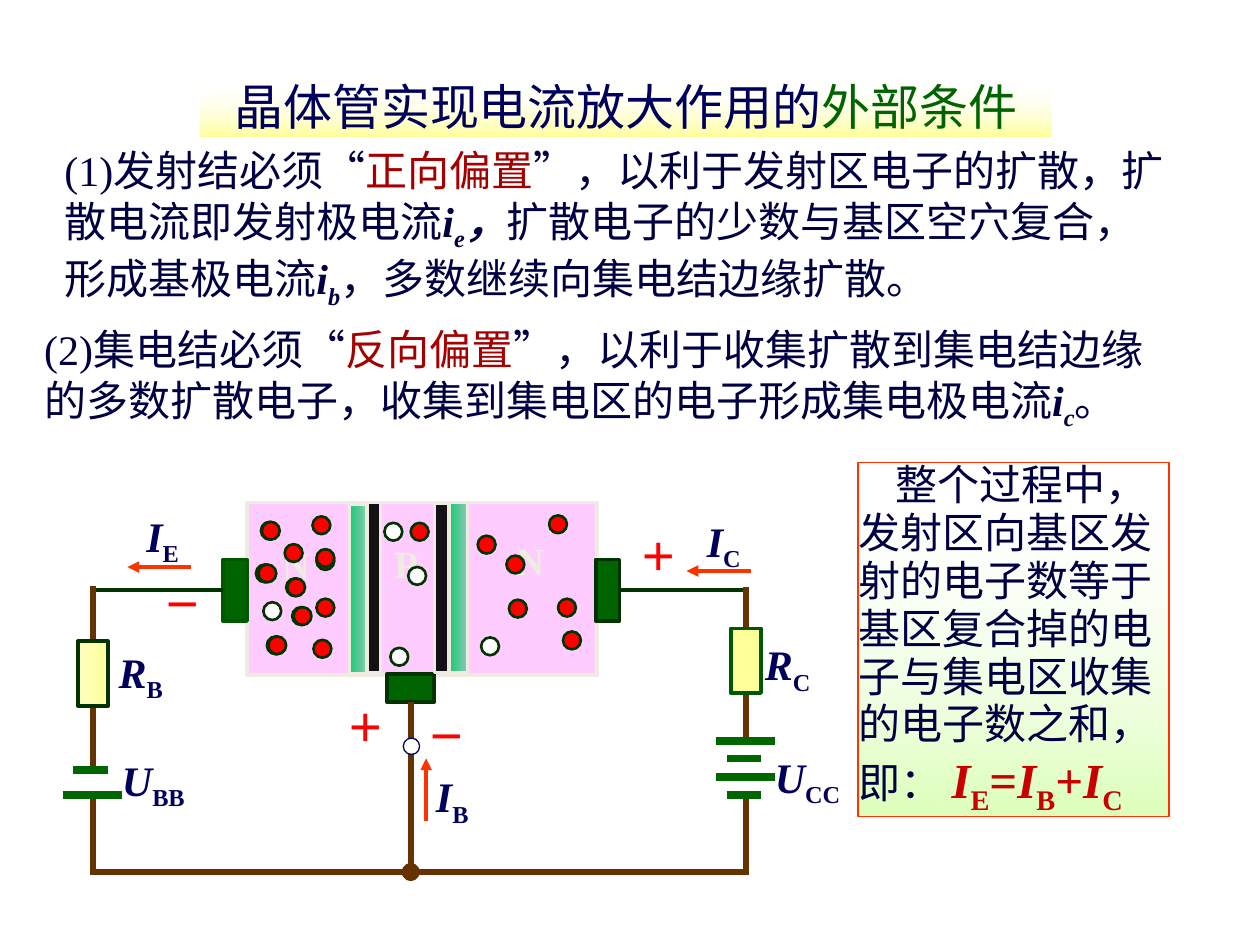
"""Build a slide on the external conditions for transistor current amplification."""
from dataclasses import dataclass
from typing import NamedTuple, Optional

from pptx import Presentation
from pptx.dml.color import RGBColor
from pptx.enum.shapes import MSO_CONNECTOR, MSO_SHAPE
from pptx.enum.text import MSO_ANCHOR, PP_ALIGN
from pptx.oxml.ns import qn
from pptx.util import Cm, Pt
from lxml.etree import SubElement


@dataclass(frozen=True)
class Theme:
    font: str = "Times New Roman"
    title_size: float = 28
    body_size: float = 24
    sign_size: float = 22
    navy: str = "00005C"
    body: str = "000042"
    emphasis: str = "A40000"
    formula: str = "C80000"
    condition: str = "006400"
    sign: str = "FF0000"
    arrow: str = "FF3300"
    white: str = "FFFFFF"
    yellow: str = "FFFF99"
    pale_yellow: str = "FFFFC1"
    pale_green: str = "CCFF99"
    pink: str = "FFCCFF"
    cream: str = "EEECE1"
    junction: str = "000000"
    depletion: str = "00CC66"
    depletion_end: str = "00C261"
    contact_edge: str = "005800"
    dark_green: str = "003300"
    plate: str = "006600"
    wire: str = "663300"


THEME = Theme()


class Box(NamedTuple):
    left: float
    top: float
    width: float
    height: float


class Paint(NamedTuple):
    color: str
    alpha: int = 100


class Line(NamedTuple):
    x1: float
    y1: float
    x2: float
    y2: float


class Symbol(NamedTuple):
    letter: str
    index: str
    left: float
    top: float
    width: float


class Mark(NamedTuple):
    text: str
    left: float
    top: float


def set_alpha(color_element, alpha: int) -> None:
    if alpha < 100:
        SubElement(color_element, qn("a:alpha")).set("val", str(alpha * 1000))


def add_block(shapes, box: Box, *paints: Paint, angle: float = 0, edge: Optional[str] = None,
              weight: float = 2.25, kind=MSO_SHAPE.RECTANGLE):
    block = shapes.add_shape(kind, *map(Cm, box))
    block.shadow.inherit = False
    if len(paints) == 1:
        block.fill.solid()
        block.fill.fore_color.rgb = RGBColor.from_string(paints[0].color)
    else:
        block.fill.gradient()
        block.fill.gradient_angle = angle
        for stop, paint in zip(block.fill.gradient_stops, paints):
            stop.color.rgb = RGBColor.from_string(paint.color)
    for element, paint in zip(list(block.element.spPr.iter(qn("a:srgbClr"))), paints):
        set_alpha(element, paint.alpha)
    if edge:
        block.line.color.rgb = RGBColor.from_string(edge)
        block.line.width = Pt(weight)
    else:
        block.line.fill.background()
    return block


def add_line(shapes, line: Line, color: str, weight: float, head: str = "", tail: str = ""):
    connector = shapes.add_connector(MSO_CONNECTOR.STRAIGHT, *map(Cm, line))
    connector.line.color.rgb = RGBColor.from_string(color)
    connector.line.width = Pt(weight)
    for tag, style in (("a:headEnd", head), ("a:tailEnd", tail)):
        if style:
            SubElement(connector.line._get_or_add_ln(), qn(tag)).set("type", style)
    SubElement(connector._element.spPr, qn("a:effectLst"))
    return connector


def open_paragraph(holder, spacing: float = 1, align=PP_ALIGN.LEFT, bottom: float = 0, wrap: bool = True):
    frame = holder.text_frame
    frame.margin_left = frame.margin_right = frame.margin_top = 0
    frame.margin_bottom = Cm(bottom)
    frame.vertical_anchor = MSO_ANCHOR.TOP
    frame.word_wrap = wrap
    paragraph = frame.paragraphs[0]
    paragraph.alignment = align
    paragraph.line_spacing = spacing
    return paragraph


def write(paragraph, text: str, *, size: float = THEME.body_size, color: str = THEME.body,
          bold: bool = False, italic: bool = False, subscript: bool = False) -> None:
    run = paragraph.add_run()
    run.text = text
    run.font.name = THEME.font
    run.font.size = Pt(size)
    run.font.bold = bold
    run.font.italic = italic
    run.font.color.rgb = RGBColor.from_string(color)
    if subscript:
        run._r.get_or_add_rPr().set("baseline", "-25000")


def write_symbol(paragraph, letter: str, index: str, *, slanted_index: bool = False,
                 size: float = THEME.body_size, color: str = THEME.body) -> None:
    write(paragraph, letter, size=size, color=color, bold=True, italic=True)
    write(paragraph, index, size=size, color=color, bold=True, italic=slanted_index, subscript=True)


def add_marks(shapes, marks: list[Mark], width: float, color: str, spacing: float) -> None:
    for mark in marks:
        holder = shapes.add_textbox(*map(Cm, (mark.left, mark.top, width, 0.89)))
        write(open_paragraph(holder, spacing, wrap=False), mark.text,
              size=THEME.sign_size, color=color, bold=True)


def add_carriers(shapes, places: list[tuple[float, float]], color: str) -> None:
    for left, top in places:
        add_block(shapes, Box(left, top, 0.36, 0.36), Paint(color), edge=THEME.dark_green,
                  weight=1.5, kind=MSO_SHAPE.OVAL)


def draw_transistor(shapes) -> None:
    add_block(shapes, Box(4.98, 10.13, 7.06, 3.48), Paint(THEME.pink), edge=THEME.cream)
    emitter = add_block(shapes, Box(4.5, 11.28, 0.48, 1.24), Paint(THEME.condition), edge=THEME.contact_edge)
    base = add_block(shapes, Box(7.8, 13.59, 0.96, 0.56), Paint(THEME.condition), edge=THEME.dark_green)
    collector = add_block(shapes, Box(12.01, 11.28, 0.48, 1.24), Paint(THEME.condition), edge=THEME.dark_green)
    add_marks(shapes, [Mark("N", 5.69, 11.05), Mark("P", 7.95, 11.02), Mark("N", 10.41, 10.97)],
              0.6, THEME.cream, 0.85)
    for box in (Box(7.34, 10.13, 0.33, 3.43), Box(8.76, 10.16, 0.28, 3.4)):
        add_block(shapes, box, Paint(THEME.junction, 92), edge=THEME.cream, weight=1.75)
    for box in (Box(9.07, 10.13, 0.36, 3.43), Box(7.04, 10.18, 0.36, 3.4)):
        add_block(shapes, box, Paint(THEME.depletion, 92), Paint(THEME.depletion_end, 41),
                  edge=THEME.cream, weight=1.75)
    add_line(shapes, Line(1.9, 11.9, 4.5, 11.9), THEME.dark_green, 2.25).end_connect(emitter, 1)
    add_line(shapes, Line(12.49, 11.9, 15.09, 11.9), THEME.dark_green, 2.25).begin_connect(collector, 3)
    add_line(shapes, Line(8.28, 17.6, 8.28, 14.15), THEME.wire, 3.5).end_connect(base, 2)
    electrons = [
        (6.3, 10.41), (5.77, 11.66), (5.16, 11.38), (5.26, 10.52), (5.38, 12.83), (5.74, 10.97),
        (6.38, 12.07), (6.38, 11.13), (5.89, 12.24), (5.79, 11.66), (6.32, 12.9), (5.21, 11.38),
        (5.28, 10.52), (5.41, 12.83), (6.38, 11.07), (5.92, 12.24), (8.28, 10.54), (11.25, 12.07),
        (10.21, 11.2), (10.26, 12.09), (11.07, 10.39), (11.35, 12.73), (9.63, 10.8)]
    holes = [(5.31, 12.14), (7.75, 10.54), (7.87, 13.06), (8.23, 11.43), (9.7, 12.85)]
    add_carriers(shapes, electrons, THEME.sign)
    add_carriers(shapes, holes, THEME.white)


def draw_circuit(shapes) -> None:
    for line in (Line(1.88, 17.58, 8.28, 17.58), Line(1.88, 15.52, 1.88, 11.81),
                 Line(1.88, 17.63, 1.88, 16.03), Line(15.04, 14.94, 15.04, 11.84),
                 Line(15.04, 17.63, 15.04, 16.03)):
        add_line(shapes, line, THEME.wire, 3.5)
    add_line(shapes, Line(8.28, 17.58, 15.04, 17.58), THEME.wire, 3.5, head="oval")
    for left, right, y in ((1.27, 2.46, 16.03), (1.47, 2.18, 15.52), (14.43, 15.62, 14.94),
                           (14.66, 15.34, 15.29), (14.43, 15.62, 15.67), (14.66, 15.34, 16.03)):
        add_line(shapes, Line(left, y, right, y), THEME.plate, 4.5)
    add_block(shapes, Box(1.57, 12.93, 0.61, 1.3), Paint(THEME.pale_yellow), Paint(THEME.yellow),
              edge=THEME.dark_green)
    add_block(shapes, Box(14.73, 12.67, 0.61, 1.3), Paint(THEME.yellow), edge=THEME.contact_edge)
    add_block(shapes, Box(8.13, 14.88, 0.33, 0.33), Paint(THEME.white), edge=THEME.navy,
              weight=0.75, kind=MSO_SHAPE.OVAL)
    for line in (Line(3.86, 11.43, 2.57, 11.43), Line(15.14, 11.51, 13.84, 11.51),
                 Line(8.59, 16.56, 8.59, 15.29)):
        add_line(shapes, line, THEME.arrow, 2.25, tail="triangle")
    for symbol in (Symbol("U", "BB", 2.46, 15.21, 1.5), Symbol("R", "B", 2.39, 13.03, 1.19),
                   Symbol("U", "CC", 15.62, 15.14, 1.5), Symbol("R", "C", 15.42, 12.88, 1.19),
                   Symbol("I", "E", 2.95, 10.29, 0.84), Symbol("I", "C", 14.25, 10.39, 0.84),
                   Symbol("I", "B", 8.79, 15.54, 0.84)):
        holder = shapes.add_textbox(*map(Cm, (symbol.left, symbol.top, symbol.width, 0.97)))
        write_symbol(open_paragraph(holder, 0.95), symbol.letter, symbol.index, color=THEME.navy)
    add_marks(shapes, [Mark("＋", 6.98, 14.27), Mark("－", 3.3, 11.79), Mark("＋", 12.9, 10.82),
                       Mark("－", 8.61, 14.45)], 0.99, THEME.sign, 0.95)


def draw_text(shapes) -> None:
    banner = add_block(shapes, Box(4.04, 1.63, 17.15, 1.12), Paint(THEME.white, 0), Paint(THEME.yellow), angle=270)
    title = open_paragraph(banner, 0.95, PP_ALIGN.CENTER)
    write(title, "晶体管实现电流放大作用的", size=THEME.title_size, color=THEME.navy)
    write(title, "外部条件", size=THEME.title_size, color=THEME.condition)

    forward = open_paragraph(shapes.add_textbox(Cm(1.3), Cm(2.92), Cm(22.17), Cm(3.07)))
    write(forward, "(1)发射结必须“")
    write(forward, "正向偏置", color=THEME.emphasis)
    write(forward, "”，以利于发射区电子的扩散，扩散电流即发射极电流")
    write_symbol(forward, "i", "e", slanted_index=True)
    write(forward, "，", bold=True, italic=True)
    write(forward, "扩散电子的少数与基区空穴复合，形成基极电流")
    write_symbol(forward, "i", "b", slanted_index=True)
    write(forward, "，多数继续向集电结边缘扩散。")

    reverse = open_paragraph(shapes.add_textbox(Cm(0.89), Cm(6.53), Cm(22.33), Cm(2.06)))
    write(reverse, "(2)集电结必须“")
    write(reverse, "反向偏置", color=THEME.emphasis)
    write(reverse, "”，以利于收集扩散到集电结边缘的多数扩散电子，收集到集电区的电子形成集电极电流")
    write_symbol(reverse, "i", "c", slanted_index=True)
    write(reverse, "。")

    panel = add_block(shapes, Box(17.3, 9.32, 6.27, 7.14), Paint(THEME.white, 0), Paint(THEME.pale_green, 68),
                      angle=270, edge=THEME.arrow, weight=0.75)
    summary = open_paragraph(panel, 0.95, bottom=0.2)
    summary._p.get_or_add_pPr().set("indent", str(Cm(0.75)))
    write(summary, "整个过程中，发射区向基区发射的电子数等于基区复合掉的电子与集电区收集的电子数之和，即： ")
    for operator, index in (("", "E"), ("=", "B"), ("+", "C")):
        if operator:
            write(summary, operator, size=THEME.title_size, color=THEME.formula, bold=True)
        write_symbol(summary, "I", index, size=THEME.title_size, color=THEME.formula)


def main() -> None:
    deck = Presentation()
    deck.slide_width, deck.slide_height = Cm(25.4), Cm(19.05)
    shapes = deck.slides.add_slide(deck.slide_layouts[6]).shapes
    draw_transistor(shapes)
    draw_circuit(shapes)
    draw_text(shapes)
    deck.save("out.pptx")


if __name__ == "__main__":
    main()
